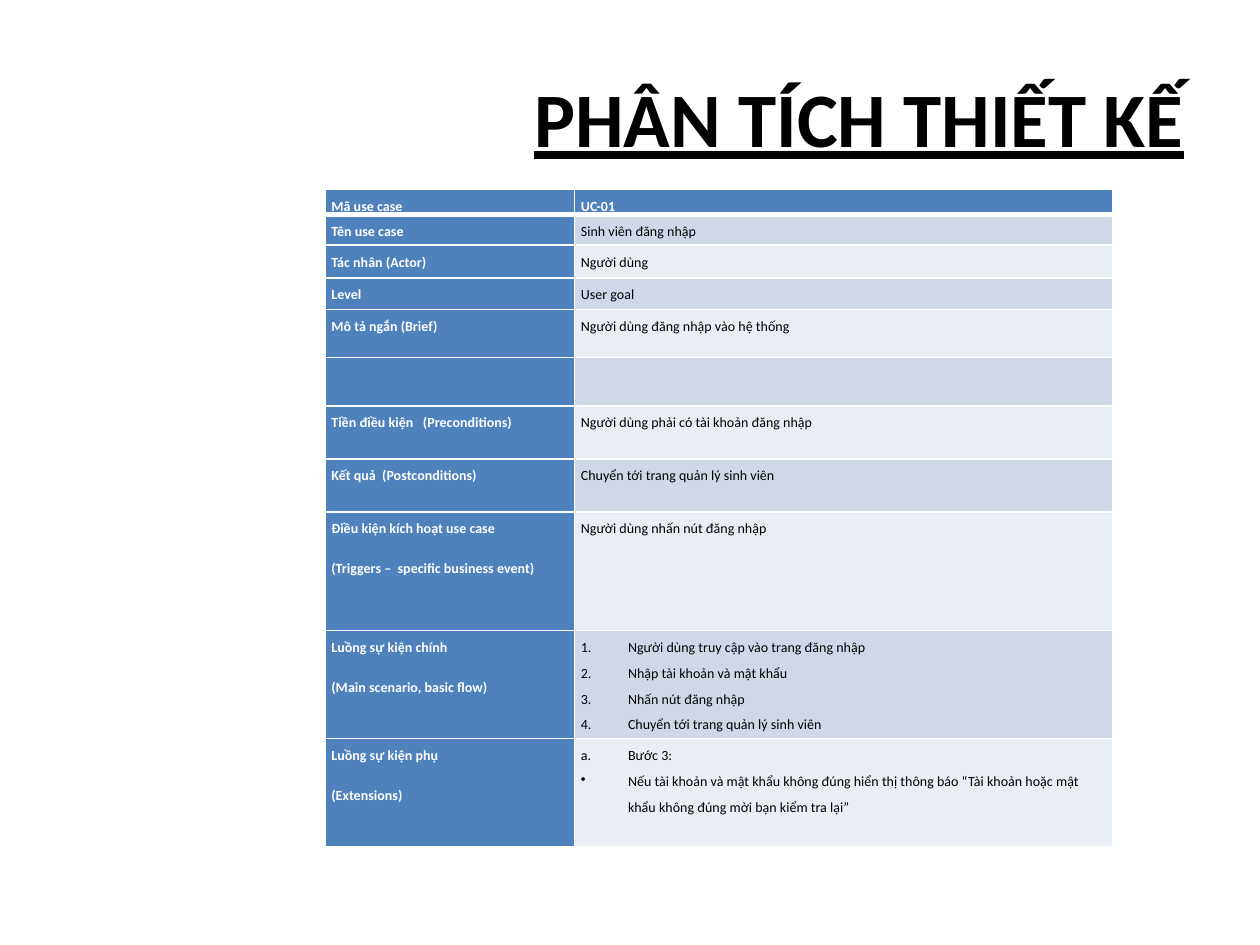
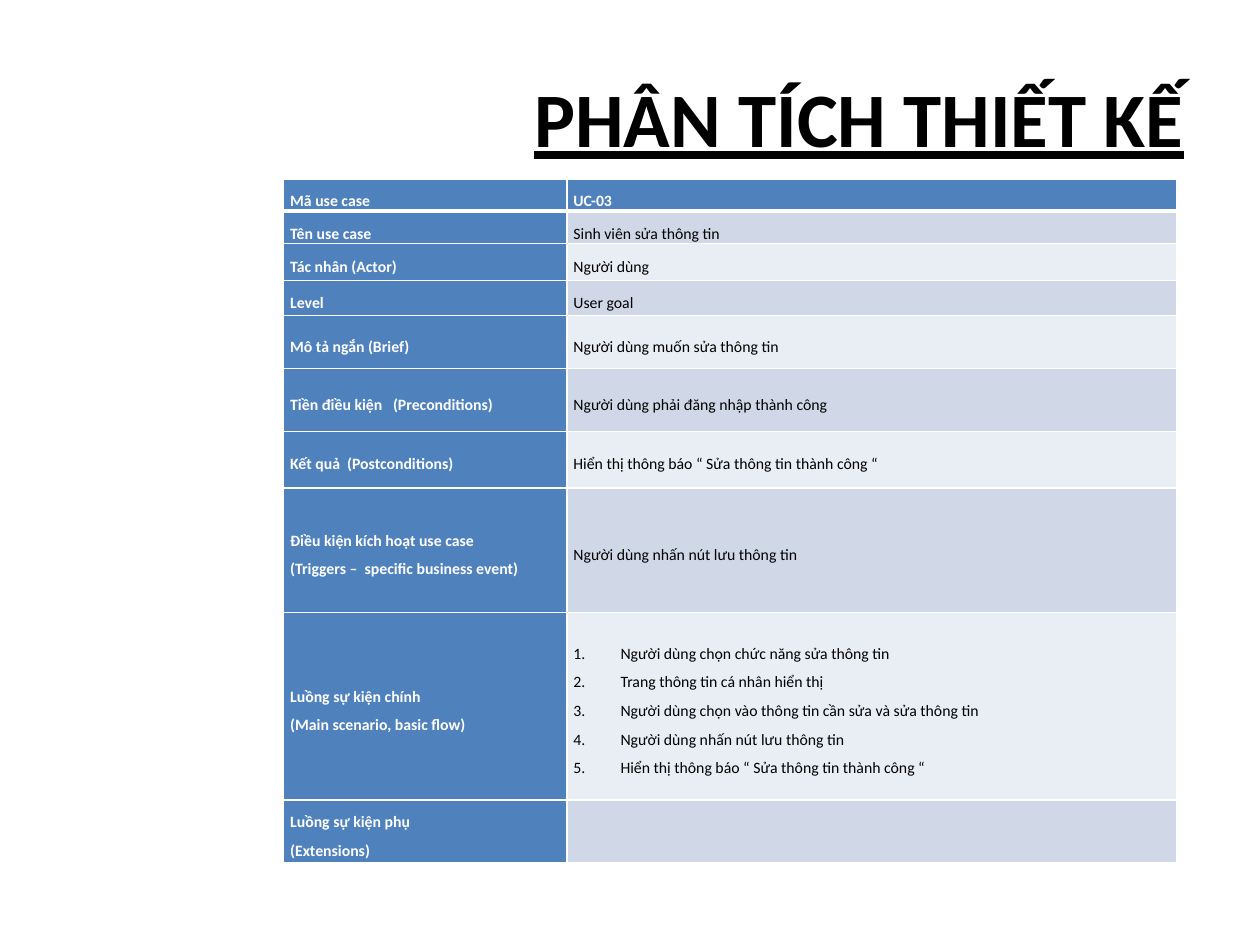
"""Build two use case slides, each with a title and a table of details."""
from dataclasses import dataclass

from lxml import etree
from pptx import Presentation
from pptx.dml.color import RGBColor
from pptx.enum.text import MSO_ANCHOR, PP_ALIGN
from pptx.oxml.ns import qn
from pptx.util import Cm, Pt

TOP, MID, LOW = MSO_ANCHOR.TOP, MSO_ANCHOR.MIDDLE, MSO_ANCHOR.BOTTOM
RIGHT = PP_ALIGN.RIGHT
BLUE = RGBColor(0x4F, 0x81, 0xBD)
BANDS = RGBColor(0xE9, 0xED, 0xF4), RGBColor(0xD0, 0xD8, 0xE8)
WHITE = RGBColor(0xFF, 0xFF, 0xFF)
BLACK = RGBColor(0, 0, 0)
FACE = "Calibri"
TITLE = "PHÂN TÍCH THIẾT KẾ"
HANG = Cm(0.95)
PADS = {"margin_left": Cm(0.13), "margin_right": Cm(0.13),
        "margin_top": 0, "margin_bottom": 0}
HEAD = {"name": FACE, "size": Pt(44), "bold": True, "underline": True}
MARKS = {"1": ("buAutoNum", "type", "arabicPeriod"),
         "a": ("buAutoNum", "type", "alphaLcPeriod"),
         "•": ("buChar", "char", "•")}

CODE = ("Mã use case",)
NAME = ("Tên use case",)
ACTOR = ("Tác nhân (Actor)",)
LEVEL = ("Level",)
BRIEF = ("Mô tả ngắn (Brief)",)
BEFORE = ("Tiền điều kiện   (Preconditions)",)
AFTER = ("Kết quả  (Postconditions)",)
TRIGGER = ("Điều kiện kích hoạt use case", "(Triggers –  specific business event)")
FLOW = ("Luồng sự kiện chính", "(Main scenario, basic flow)")
EXTRA = ("Luồng sự kiện phụ", "(Extensions)")
USER = ("Người dùng",)
GOAL = ("User goal",)


@dataclass(frozen=True)
class Row:
    """One table row: height in cm, label lines, value lines and list marks."""
    height: float
    label: tuple[str, ...] = ()
    value: tuple[str, ...] = ()
    marks: str = ""
    anchor: MSO_ANCHOR = TOP


@dataclass(frozen=True)
class Case:
    """One use case table: place and columns in cm, text size and gap in points."""
    left: float
    top: float
    cols: tuple[float, float]
    size: int
    gap: int
    rows: tuple[Row, ...]


LOGIN = Case(6.55, 3.82, (5.03, 10.85), 8, 8, (
    Row(0.51, CODE, ("UC-01",)),
    Row(0.61, NAME, ("Sinh viên đăng nhập",)),
    Row(0.66, ACTOR, USER),
    Row(0.64, LEVEL, GOAL),
    Row(0.97, BRIEF, ("Người dùng đăng nhập vào hệ thống",)),
    Row(0.97),
    Row(1.07, BEFORE, ("Người dùng phải có tài khoản đăng nhập",)),
    Row(1.07, AFTER, ("Chuyển tới trang quản lý sinh viên",)),
    Row(2.39, TRIGGER, ("Người dùng nhấn nút đăng nhập",)),
    Row(2.18, FLOW, ("Người dùng truy cập vào trang đăng nhập",
                     "Nhập tài khoản và mật khẩu",
                     "Nhấn nút đăng nhập",
                     "Chuyển tới trang quản lý sinh viên"), "1111"),
    Row(2.18, EXTRA, ("Bước 3:",
                      "Nếu tài khoản và mật khẩu không đúng hiển thị thông báo "
                      "“Tài khoản hoặc mật khẩu không đúng mời bạn kiểm tra lại”"), "a•"),
))

DONE = "Hiển thị thông báo “ Sửa thông tin thành công “"
EDIT = Case(5.72, 3.61, (5.71, 12.29), 9, 0, (
    Row(0.64, CODE, ("UC-03",), anchor=LOW),
    Row(0.66, NAME, ("Sinh viên sửa thông tin",), anchor=LOW),
    Row(0.74, ACTOR, USER, anchor=MID),
    Row(0.71, LEVEL, GOAL, anchor=MID),
    Row(1.07, BRIEF, ("Người dùng muốn sửa thông tin",), anchor=MID),
    Row(1.27, BEFORE, ("Người dùng phải đăng nhập thành công",), anchor=MID),
    Row(1.14, AFTER, (DONE,), anchor=MID),
    Row(2.51, TRIGGER, ("Người dùng nhấn nút lưu thông tin",), anchor=MID),
    Row(3.78, FLOW, ("Người dùng chọn chức năng sửa thông tin",
                     "Trang thông tin cá nhân hiển thị",
                     "Người dùng chọn vào thông tin cần sửa và sửa thông tin",
                     "Người dùng nhấn nút lưu thông tin",
                     DONE), "11111", MID),
    Row(1.27, EXTRA, anchor=MID),
))


def apply(target: object, values: dict) -> None:
    """Set each named value on the target."""
    for name, value in values.items():
        setattr(target, name, value)


def add_text(para, text: str, look: dict, color: RGBColor) -> None:
    """Add one run of formatted text."""
    run = para.add_run()
    run.text = text
    apply(run.font, look)
    run.font.color.rgb = color


def add_mark(para, mark: str) -> None:
    """Give a paragraph a hanging indent and its list mark."""
    tag, key, value = MARKS[mark]
    props = para._p.get_or_add_pPr()
    props.set("marL", str(HANG))
    props.set("indent", str(-HANG))
    etree.SubElement(props, qn(f"a:{tag}")).set(key, value)


def add_edges(cell, widths: dict[str, int]) -> None:
    """Draw white lines on the four sides of a cell."""
    props = cell._tc.get_or_add_tcPr()
    for side, width in widths.items():
        line = etree.SubElement(props, qn(f"a:ln{side}"), w=str(Pt(width)))
        fill = etree.SubElement(line, qn("a:solidFill"))
        etree.SubElement(fill, qn("a:srgbClr"), val=str(WHITE))


def fill_cell(cell, lines: tuple[str, ...], marks: str, case: Case,
              look: dict, color: RGBColor) -> None:
    """Write the lines of a cell, as a list if marks are given."""
    frame = cell.text_frame
    last = len(lines) - 1
    for i, text in enumerate(lines):
        para = frame.add_paragraph() if i else frame.paragraphs[0]
        para.line_spacing = 1.5
        para.space_after = Pt(0 if marks and i < last else case.gap)
        if marks:
            add_mark(para, marks[i])
        add_text(para, text, look, color)


def add_title(slide) -> None:
    """Add the shared slide title."""
    frame = slide.shapes.add_textbox(Cm(1.27), Cm(0.76), Cm(22.86), Cm(3.18)).text_frame
    apply(frame, {"word_wrap": True, "vertical_anchor": MID})
    para = frame.paragraphs[0]
    para.alignment = RIGHT
    add_text(para, TITLE, HEAD, BLACK)


def add_case(slide, case: Case) -> None:
    """Add the table of one use case."""
    total = sum(row.height for row in case.rows)
    table = slide.shapes.add_table(len(case.rows), 2, Cm(case.left), Cm(case.top),
                                   Cm(sum(case.cols)), Cm(total)).table
    for col, width in zip(table.columns, case.cols):
        col.width = Cm(width)
    for r, row in enumerate(case.rows):
        table.rows[r].height = Cm(row.height)
        edges = {"L": 1, "R": 1, "T": 3 if r == 1 else 1, "B": 1 if r else 3}
        for c, lines in enumerate((row.label, row.value)):
            cell = table.cell(r, c)
            strong = r == 0 or c == 0
            apply(cell, PADS | {"vertical_anchor": row.anchor})
            add_edges(cell, edges)
            cell.fill.solid()
            cell.fill.fore_color.rgb = BLUE if strong else BANDS[r % 2]
            look = {"name": FACE, "size": Pt(case.size), "bold": strong}
            fill_cell(cell, lines, row.marks if c else "", case, look,
                      WHITE if strong else BLACK)


def main() -> None:
    """Build and save the slides."""
    deck = Presentation()
    apply(deck, {"slide_width": Cm(25.4), "slide_height": Cm(19.05)})
    for case in (LOGIN, EDIT):
        slide = deck.slides.add_slide(deck.slide_layouts[6])
        add_title(slide)
        add_case(slide, case)
    deck.save("out.pptx")


if __name__ == "__main__":
    main()
